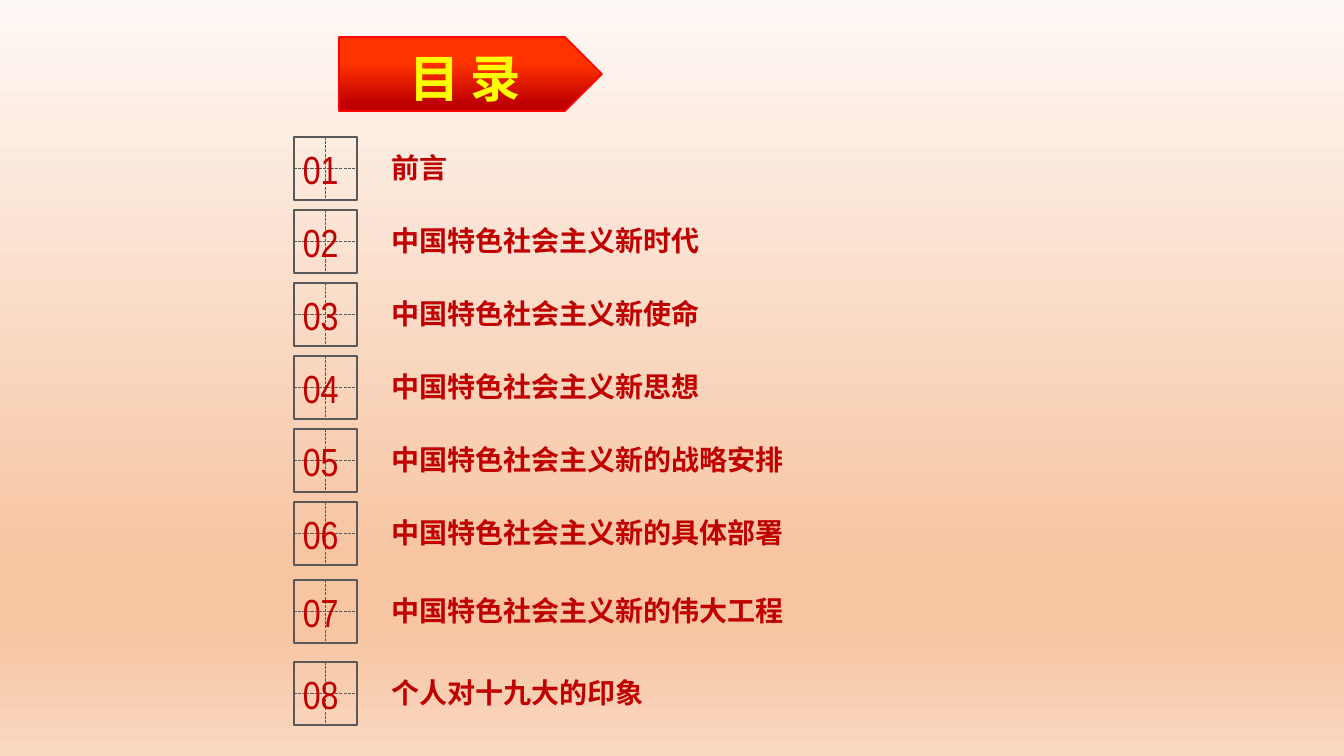
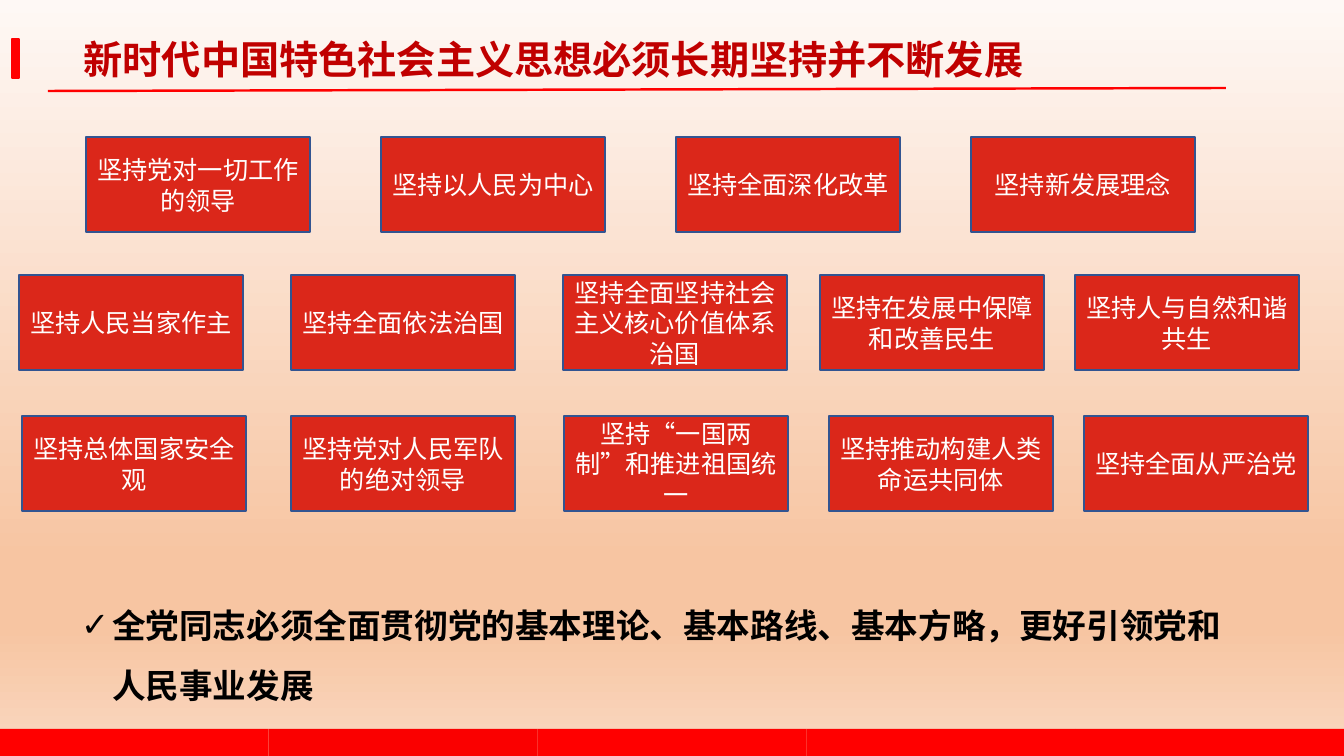
from dataclasses import dataclass

from lxml import etree
from pptx import Presentation
from pptx import util as u
from pptx.dml.color import RGBColor
from pptx.enum import dml, lang, shapes, text
from pptx.oxml.ns import qn

PX = 12192000 / 1344
WIDTH, HEIGHT = 1344, 756


@dataclass(frozen=True)
class Style:
    size: int
    color: str
    bold: bool = False
    face: str = "Noto Sans CJK SC"


class Theme:
    backdrop = [(0, "FEF8F5"), (74, "F7C5A2"), (83, "F7C5A2"), (100, "FAD8C1")]
    banner = [(35, "FF3300"), (89, "C00000")]
    banner_edge = "FF0300"
    grid = "595959"
    red = "FF0000"
    band = ["FF0000", "FA0000", "FF0000", "FF0000", "FF0000"]
    card, card_edge = "DB271A", "325491"
    contents = Style(36, "FFFF00", True)
    heading = Style(28, "C00000", True)
    number = Style(28, "C00000", face="Arial Narrow")
    entry = Style(20, "C00000", True)
    principle = Style(18, "FFFFFF")
    conclusion = Style(24, "000000", True)


CONTENTS_TITLE = "目 录"
CHAPTERS = [
    "前言",
    "中国特色社会主义新时代",
    "中国特色社会主义新使命",
    "中国特色社会主义新思想",
    "中国特色社会主义新的战略安排",
    "中国特色社会主义新的具体部署",
    "中国特色社会主义新的伟大工程",
    "个人对十九大的印象",
]
CHAPTER_TOPS = [137 + 73 * i for i in range(6)] + [580, 662]
CELL = 63

HEADING = "新时代中国特色社会主义思想必须长期坚持并不断发展"
PRINCIPLES = [
    (137, [(86, "坚持党对一切工作的领导"), (381, "坚持以人民为中心"),
           (676, "坚持全面深化改革"), (971, "坚持新发展理念")]),
    (275, [(19, "坚持人民当家作主"), (291, "坚持全面依法治国"),
           (563, "坚持全面坚持社会主义核心价值体系治国"),
           (820, "坚持在发展中保障和改善民生"), (1075, "坚持人与自然和谐共生")]),
    (416, [(22, "坚持总体国家安全观"), (291, "坚持党对人民军队的绝对领导"),
           (564, "坚持“一国两制”和推进祖国统一"),
           (829, "坚持推动构建人类命运共同体"), (1084, "坚持全面从严治党")]),
]
CONCLUSION = "全党同志必须全面贯彻党的基本理论、基本路线、基本方略，更好引领党和人民事业发展"


def emu(*lengths):
    return [round(length * PX) for length in lengths]


def rgb(color):
    return RGBColor.from_string(color)


def gradient(fill, stops):
    fill.gradient()
    fill.gradient_angle = 270
    stop_list = fill._xPr.find(".//" + qn("a:gsLst"))
    for stop in list(stop_list):
        stop_list.remove(stop)
    for position, color in stops:
        stop = etree.SubElement(stop_list, qn("a:gs"), pos=str(position * 1000))
        etree.SubElement(stop, qn("a:srgbClr"), val=color)


def outline(line, color, width):
    line.color.rgb = rgb(color)
    line.width = u.Pt(width)


def block(slide, at, fill=None, edge=None, kind=shapes.MSO_SHAPE.RECTANGLE):
    shape = slide.shapes.add_shape(kind, *emu(*at))
    shape.shadow.inherit = False
    if fill:
        shape.fill.solid()
        shape.fill.fore_color.rgb = rgb(fill)
    else:
        shape.fill.background()
    if edge:
        outline(shape.line, *edge)
    else:
        shape.line.fill.background()
    return shape


def rule(slide, ends, color, width):
    line = slide.shapes.add_connector(shapes.MSO_CONNECTOR.STRAIGHT, *emu(*ends))
    outline(line.line, color, width)
    etree.SubElement(line._element.spPr, qn("a:effectLst"))
    return line


def place(holder, at):
    holder.left, holder.top, holder.width, holder.height = emu(*at)
    frame = holder.text_frame
    frame.auto_size = text.MSO_AUTO_SIZE.NONE
    frame.vertical_anchor = text.MSO_ANCHOR.TOP
    frame.word_wrap = True
    return frame


def write(paragraph, words, style, align=text.PP_ALIGN.LEFT, leading=1.2):
    paragraph.alignment = align
    paragraph.line_spacing = u.Pt(round(style.size * leading))
    paragraph.space_before = u.Pt(0)
    run = paragraph.add_run()
    run.text = words
    font = run.font
    font.name, font.size, font.bold = style.face, u.Pt(style.size), style.bold
    font.color.rgb = rgb(style.color)
    font.language_id = lang.MSO_LANGUAGE_ID.SIMPLIFIED_CHINESE
    latin = run._r.rPr.find(qn("a:latin"))
    latin.addnext(latin.makeelement(qn("a:ea"), {"typeface": style.face}))


def bullet(paragraph, mark=None, indent=0):
    properties = paragraph._p.get_or_add_pPr()
    hang = emu(indent)[0]
    properties.set("marL", str(hang))
    properties.set("indent", str(-hang))
    if mark:
        etree.SubElement(properties, qn("a:buChar"), char=mark)
    else:
        etree.SubElement(properties, qn("a:buNone"))


def number_cell(slide, number, top):
    cell = block(slide, (294, top, CELL, CELL), edge=(Theme.grid, 1.5))
    for start, end in ((1, 3), (0, 2)):
        guide = rule(slide, (294, top, 294 + CELL, top), Theme.grid, 0.75)
        guide.begin_connect(cell, start)
        guide.end_connect(cell, end)
        guide.line.dash_style = dml.MSO_LINE.SQUARE_DOT
    label = slide.shapes.add_textbox(*emu(293, top + 3, CELL, 57)).text_frame
    label.word_wrap = True
    label.vertical_anchor = text.MSO_ANCHOR.MIDDLE
    write(label.paragraphs[0], f"{number:02}", Theme.number)


def contents_slide(prs):
    slide = prs.slides.add_slide(prs.slide_layouts[1])
    title, chapters = slide.placeholders
    banner = block(slide, (339, 37, 263, 74), edge=(Theme.banner_edge, 1.25),
                   kind=shapes.MSO_SHAPE.PENTAGON)
    gradient(banner.fill, Theme.banner)
    slide.shapes._spTree.insert(2, banner._element)
    frame = place(title, (399, 42, 150, 72))
    write(frame.paragraphs[0], CONTENTS_TITLE, Theme.contents)

    for number, top in enumerate(CHAPTER_TOPS, 1):
        number_cell(slide, number, top)

    frame = place(chapters, (381, 145, 905, 580))
    gaps = [0] + [b - a for a, b in zip(CHAPTER_TOPS, CHAPTER_TOPS[1:])]
    for chapter, gap in zip(CHAPTERS, gaps):
        entry = frame.paragraphs[0] if not gap else frame.add_paragraph()
        bullet(entry)
        write(entry, chapter, Theme.entry)
        if gap:
            entry.space_before = emu(gap)[0] - entry.line_spacing


def principles_slide(prs):
    slide = prs.slides.add_slide(prs.slide_layouts[1])
    title, conclusion = slide.placeholders
    frame = place(title, (26, 35, 1055, 47))
    frame.margin_left = frame.margin_right = 0
    frame.margin_top = frame.margin_bottom = 0
    write(frame.paragraphs[0], HEADING, Theme.heading, text.PP_ALIGN.CENTER)
    block(slide, (12, 39, 7, 39), Theme.red, (Theme.red, 1))
    rule(slide, (48, 91, 1226, 88), Theme.red, 1.75)

    segment = WIDTH / len(Theme.band)
    for i, color in enumerate(Theme.band):
        block(slide, (i * segment, 729, segment, HEIGHT - 729), color)

    for top, cards in PRINCIPLES:
        for left, principle in cards:
            card = block(slide, (left, top, 224, 95), Theme.card,
                         (Theme.card_edge, 1))
            card.text_frame.word_wrap = True
            card.text_frame.vertical_anchor = text.MSO_ANCHOR.MIDDLE
            write(card.text_frame.paragraphs[0], principle, Theme.principle,
                  text.PP_ALIGN.CENTER)

    frame = place(conclusion, (71, 580, 1170, 130))
    bullet(frame.paragraphs[0], "✓", 31)
    write(frame.paragraphs[0], CONCLUSION, Theme.conclusion, leading=1.8)


def main():
    """Build the contents slide and the principles slide."""
    prs = Presentation()
    prs.slide_width, prs.slide_height = emu(WIDTH, HEIGHT)
    gradient(prs.slide_master.background.fill, Theme.backdrop)
    contents_slide(prs)
    principles_slide(prs)
    prs.save("out.pptx")


if __name__ == "__main__":
    main()
